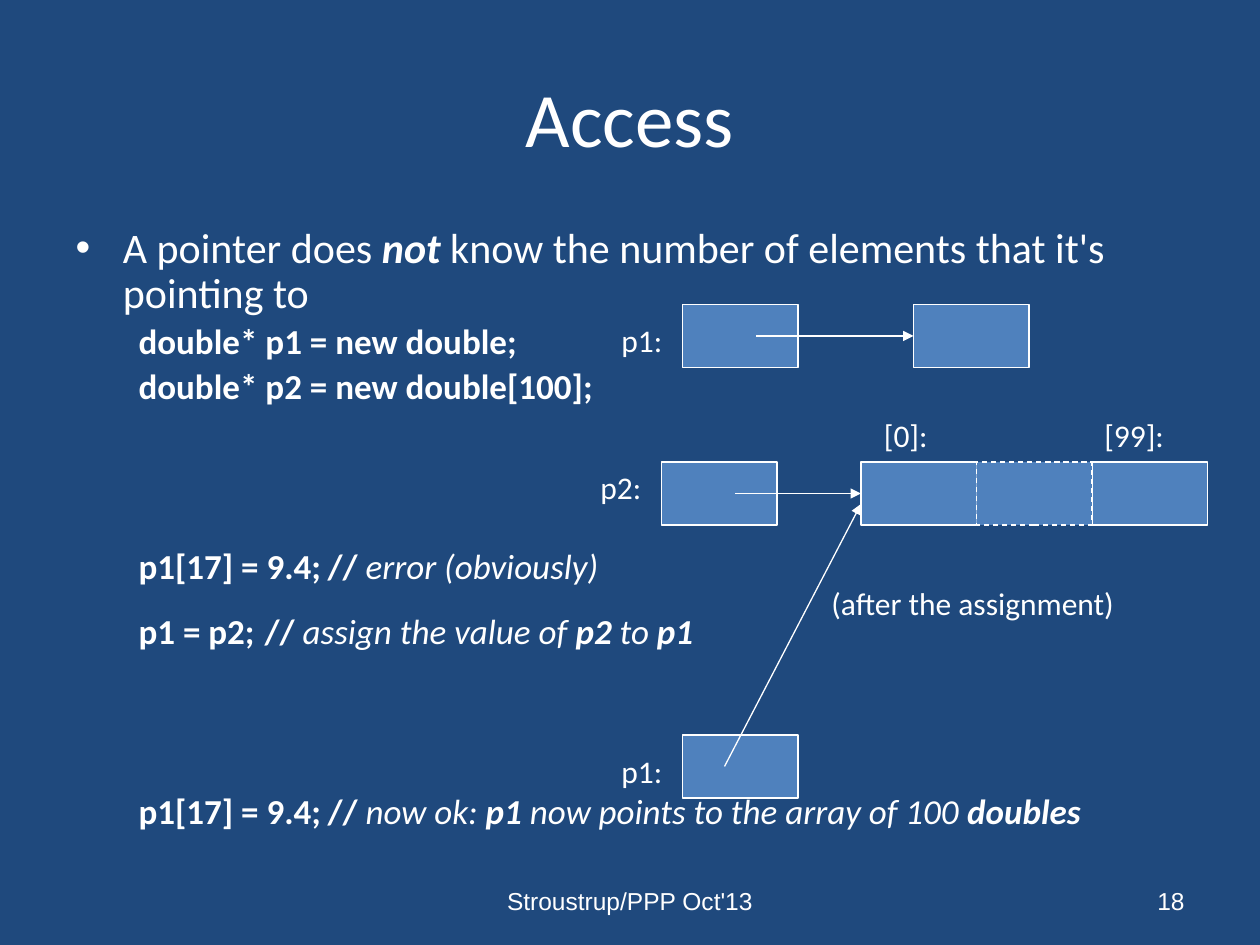
import pptx
import pptx.dml.color
import pptx.enum.dml
import pptx.enum.shapes
import pptx.enum.text
import pptx.oxml
import pptx.oxml.ns
import pptx.util

Pt = pptx.util.Pt
PP_ALIGN = pptx.enum.text.PP_ALIGN
MSO_ANCHOR = pptx.enum.text.MSO_ANCHOR


def rgb(value):
    return pptx.dml.color.RGBColor.from_string(value)


def add_xml(parent, xml):
    nsdecls = pptx.oxml.ns.nsdecls("a")
    tag, rest = xml.split(" ", 1) if " " in xml else (xml, "/>")
    parent.append(pptx.oxml.parse_xml(f"<a:{tag} {nsdecls} {rest}"))


class Deck:
    INK = "FFFFFF"
    FILL = "4F81BD"
    BACKGROUND = "1F497D"
    FONT = "Calibri"
    BOX_W, BOX_H = 66, 36
    LINE_W = 0.75
    LABEL_H = 28.8

    def __init__(self):
        self.prs = pptx.Presentation()
        self.prs.slide_width, self.prs.slide_height = Pt(720), Pt(540)
        self.s = self.prs.slides.add_slide(self.prs.slide_layouts[1])
        fill = self.s.background.fill
        fill.solid()
        fill.fore_color.rgb = rgb(self.BACKGROUND)

    def style(self, r, size, bold=False, italic=False, font=FONT):
        r.font.name, r.font.size = font, Pt(size)
        r.font.bold, r.font.italic = bold, italic
        r.font.color.rgb = rgb(self.INK)

    def place(self, sp, x, y, w, h):
        sp.left, sp.top, sp.width, sp.height = Pt(x), Pt(y), Pt(w), Pt(h)

    def title(self, text, x, y, w, h):
        sp = self.s.shapes.title
        self.place(sp, x, y, w, h)
        tf = sp.text_frame
        tf.text = text
        tf.vertical_anchor = MSO_ANCHOR.MIDDLE
        tf.paragraphs[0].alignment = PP_ALIGN.CENTER
        self.style(tf.paragraphs[0].runs[0], 44)

    def body(self, x, y, w, h):
        sp = self.s.placeholders[1]
        self.place(sp, x, y, w, h)
        sp.text_frame.auto_size = pptx.enum.text.MSO_AUTO_SIZE.NONE
        return sp.text_frame

    def runs(self, p, parts, size):
        for text, marks in parts:
            r = p.add_run()
            r.text = text
            self.style(r, size, "b" in marks, "i" in marks)

    def bullet(self, p, parts):
        p.line_spacing, p.space_before = 0.9, Pt(4.8)
        self.runs(p, parts, 24)

    def code(self, p, parts, before, tab):
        p.level = 1
        p.line_spacing, p.space_before = 0.9, Pt(before)
        pPr = p._p.get_or_add_pPr()
        pPr.set("marL", "0")
        pPr.set("indent", str(Pt(36)))
        add_xml(pPr, "buNone")
        if tab:
            add_xml(pPr, f'tabLst ><a:tab pos="{Pt(tab)}" algn="l"/></a:tabLst>')
        self.runs(p, parts, 20)

    def box(self, x, y, dashed=False):
        sp = self.s.shapes.add_shape(
            pptx.enum.shapes.MSO_SHAPE.RECTANGLE,
            Pt(x), Pt(y), Pt(self.BOX_W), Pt(self.BOX_H))
        sp.shadow.inherit = False
        sp.fill.solid()
        sp.fill.fore_color.rgb = rgb(self.FILL)
        sp.line.color.rgb = rgb(self.INK)
        sp.line.width = Pt(self.LINE_W)
        if dashed:
            sp.line.dash_style = pptx.enum.dml.MSO_LINE.DASH
        return sp

    def arrow(self, x1, y1, x2, y2, target=None):
        c = self.s.shapes.add_connector(
            pptx.enum.shapes.MSO_CONNECTOR.STRAIGHT,
            Pt(x1), Pt(y1), Pt(x2), Pt(y2))
        if target is not None:
            c.end_connect(target, 1)
        c.line.color.rgb = rgb(self.INK)
        c.line.width = Pt(self.LINE_W)
        add_xml(c.line._get_or_add_ln(), 'tailEnd type="triangle"/>')
        add_xml(c._element.spPr, "effectLst")

    def label(self, text, x, y, w, size=18, font=FONT,
              align=PP_ALIGN.LEFT, anchor=MSO_ANCHOR.TOP):
        sp = self.s.shapes.add_textbox(Pt(x), Pt(y), Pt(w), Pt(self.LABEL_H))
        tf = sp.text_frame
        tf.word_wrap = True
        tf.vertical_anchor = anchor
        tf.text = text
        tf.paragraphs[0].alignment = align
        self.style(tf.paragraphs[0].runs[0], size, font=font)

    def footer(self, text, x, w, align):
        self.label(text, x, 500.4, w, 14, "Arial", align, MSO_ANCHOR.MIDDLE)


CODE_LINES = [
    (4, None, [("double* p1 = new double;", "b")]),
    (4, None, [("double* p2 = new double[100];", "b")]),
    (81, 159, [("p1[17] = 9.4;\t// ", "b"), ("error (obviously)", "i")]),
    (16, 144, [("p1 = p2;\t// ", "b"), ("assign the value of ", "i"),
               ("p2", "bi"), (" to ", "i"), ("p1", "bi")]),
    (81, 168, [("p1[17] = 9.4;\t// ", "b"), ("now ok: ", "i"), ("p1", "bi"),
               (" now points to the array of 100 ", "i"), ("doubles", "bi")]),
]


def main():
    d = Deck()
    d.title("Access", 36, 21.6, 648, 90)
    tf = d.body(36, 126, 642, 390)
    d.bullet(tf.paragraphs[0], [
        ("A pointer does ", ""), ("not", "bi"),
        (" know the number of elements that it's pointing to", "")])
    for before, tab, parts in CODE_LINES:
        d.code(tf.add_paragraph(), parts, before, tab)

    d.box(390, 174)
    d.box(378, 264)
    array_x = 492
    d.box(array_x + 2 * d.BOX_W, 264)
    first = d.box(array_x, 264)
    single = d.box(522, 174)
    d.arrow(432, 192, 522, 192, single)
    d.arrow(420, 282, array_x, 282, first)
    d.box(array_x + d.BOX_W, 264, dashed=True)
    d.box(390, 420)
    d.arrow(414, 438, array_x, 288)

    for text, x, y, w in [
        ("p1:", 348, 180, 54),
        ("p2:", 336, 264, 54),
        ("p1:", 348, 426, 54),
        ("(after the assignment)", 468, 330, 192),
        ("[0]:", 498, 234, 48),
        ("[99]:", 624, 234, 66),
    ]:
        d.label(text, x, y, w)

    d.footer("Stroustrup/PPP Oct'13", 246, 228, PP_ALIGN.CENTER)
    d.footer("18", 516, 168, PP_ALIGN.RIGHT)
    d.prs.save("out.pptx")


if __name__ == "__main__":
    main()
